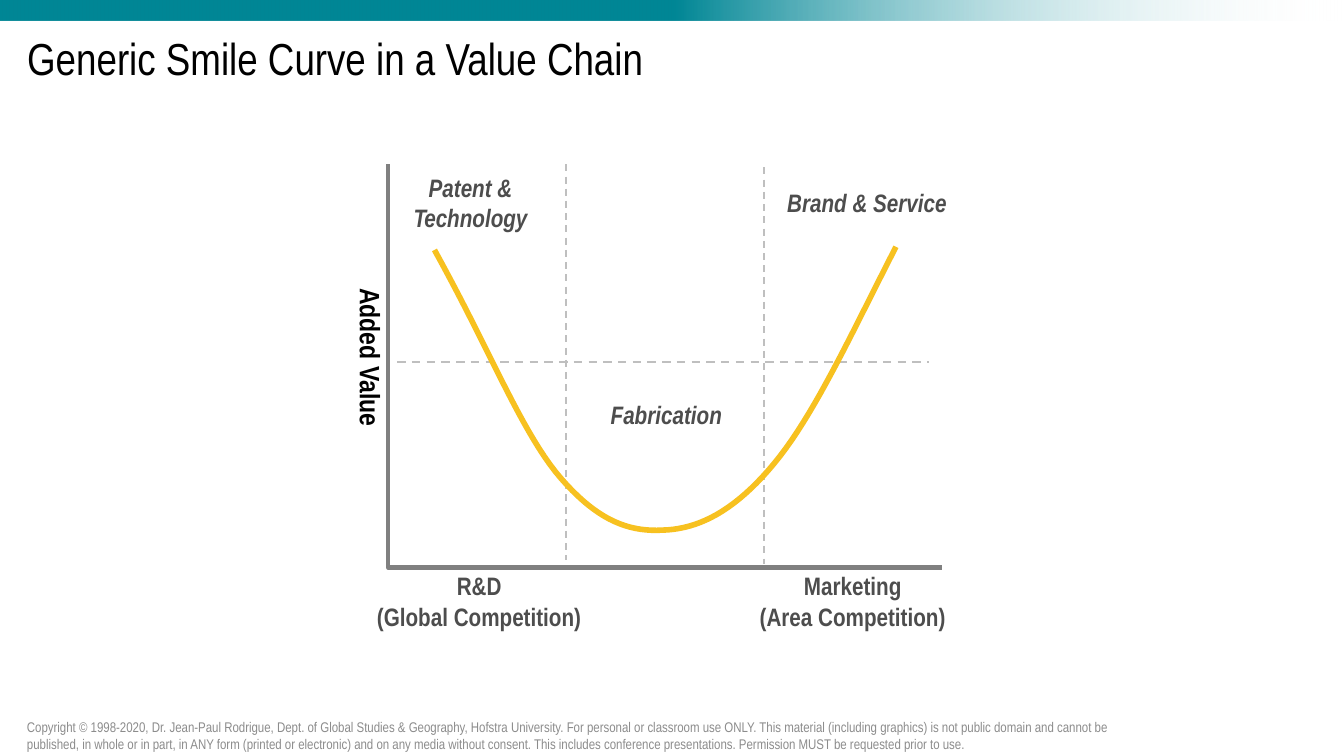
from lxml import etree
from pptx import Presentation
from pptx.dml.color import RGBColor
from pptx.enum.dml import MSO_LINE
from pptx.enum.shapes import MSO_CONNECTOR, MSO_SHAPE
from pptx.enum.text import MSO_ANCHOR, MSO_AUTO_SIZE, PP_ALIGN
from pptx.oxml.ns import qn
from pptx.util import Cm, Pt

DASH = MSO_LINE.DASH
STRAIGHT = MSO_CONNECTOR.STRAIGHT
RECTANGLE = MSO_SHAPE.RECTANGLE
MIDDLE = MSO_ANCHOR.MIDDLE
GROW = MSO_AUTO_SIZE.SHAPE_TO_FIT_TEXT
LEFT, CENTER = PP_ALIGN.LEFT, PP_ALIGN.CENTER

# Content (lengths in centimetres)
FONT = "Arial Narrow"
COLORS = {"band": "008695", "white": "FFFFFF", "black": "000000", "label": "4D4D4D",
          "footer": "8C8C8C", "axis": "808080", "guide": "BFBFBF", "curve": "F7C120"}
SLIDE_SIZE = (33.87, 19.05)
BAND = (0, 0, 33.87, 0.51)
TITLE = ("Generic Smile Curve in a Value Chain", (0.43, 0.51, 33.02, 2.03))
COPYRIGHT = (
    "Copyright © 1998-2020, Dr. Jean-Paul Rodrigue, Dept. of Global Studies & Geography, "
    "Hofstra University. For personal or classroom use ONLY. This material (including graphics) "
    "is not public domain and cannot be published, in whole or in part, in ANY form (printed or "
    "electronic) and on any media without consent. This includes conference presentations. "
    "Permission MUST be requested prior to use.",
    (0.43, 18.03, 27.81, 1.02))
AXES = [(9.78, 4.14), (9.78, 14.3), (23.75, 14.3)]
GUIDES = [  # start, end, width in points
    ((14.27, 4.14), (14.27, 14.1), 1.25),
    ((19.25, 4.22), (19.25, 14.2), 1.25),
    ((10.01, 9.12), (23.42, 9.12), 1.5),
]
SMILE_START = (10.95, 6.3)
SMILE_CURVES = [  # two control points and an end point each
    ((12.34, 8.81), (13.06, 10.69), (14.0, 11.89)),
    ((14.96, 13.06), (15.77, 13.41), (16.69, 13.36)),
    ((17.6, 13.34), (18.52, 12.88), (19.51, 11.68)),
    ((20.5, 10.49), (21.41, 8.51), (22.58, 6.22)),
]
STEPS = 20
AXIS_FORMAT = {"size": Pt(20), "bold": True}
STAGE_FORMAT = {"size": Pt(18), "bold": True}
ASSET_FORMAT = {**STAGE_FORMAT, "italic": True}
LABELS = [  # lines, place, alignment, colour, format, rotation
    (["Added Value"], (7.59, 8.59, 3.51, 0.86), LEFT, "black", AXIS_FORMAT, 90),
    (["Fabrication"], (15.39, 10.06, 2.84, 0.76), LEFT, "label", ASSET_FORMAT, 0),
    (["Patent &", "Technology"], (10.41, 4.34, 2.9, 1.55), CENTER, "label", ASSET_FORMAT, 0),
    (["Brand & Service"], (19.84, 4.72, 4.06, 0.76), LEFT, "label", ASSET_FORMAT, 0),
    (["R&D", "(Global Competition)"], (9.47, 14.38, 5.21, 1.55), CENTER, "label",
     STAGE_FORMAT, 0),
    (["Marketing", "(Area Competition)"], (19.13, 14.38, 4.72, 1.55), CENTER, "label",
     STAGE_FORMAT, 0),
]


def color(name):
    return RGBColor.from_string(COLORS[name])


def to_cm(values):
    return [Cm(value) for value in values]


def write_lines(frame, lines, color_name, text_format, alignment=LEFT):
    for index, line in enumerate(lines):
        para = frame.paragraphs[0] if index == 0 else frame.add_paragraph()
        para.alignment = alignment
        span = para.add_run()
        span.text = line
        span.font.name = FONT
        span.font.color.rgb = color(color_name)
        for key, value in text_format.items():
            setattr(span.font, key, value)


def draw_outline(page, points, color_name, width):
    first, *rest = [to_cm(point) for point in points]
    builder = page.shapes.build_freeform(*first)
    builder.add_line_segments(rest, close=False)
    outline = builder.convert_to_shape()
    outline.shadow.inherit = False
    outline.fill.background()
    outline.line.color.rgb = color(color_name)
    outline.line.width = Pt(width)


def smile_points():
    points = [SMILE_START]
    for control_1, control_2, end in SMILE_CURVES:
        start = points[-1]
        for step in range(1, STEPS + 1):
            t = step / STEPS
            u = 1 - t
            points.append(tuple(
                u**3 * a + 3 * u**2 * t * b + 3 * u * t**2 * c + t**3 * d
                for a, b, c, d in zip(start, control_1, control_2, end)))
    return points


def main():
    deck = Presentation()
    deck.slide_width, deck.slide_height = to_cm(SLIDE_SIZE)
    page = deck.slides.add_slide(deck.slide_layouts[5])

    # Top band fading to transparent white
    band = page.shapes.add_shape(RECTANGLE, *to_cm(BAND))
    band.shadow.inherit = False
    band.line.fill.background()
    band.fill.gradient()
    band.fill.gradient_angle = 0
    stops = band.fill.gradient_stops
    for stop, position, name in zip(stops, (0.5, 1), ("band", "white")):
        stop.position = position
        stop.color.rgb = color(name)
    last_color = list(band.fill._xPr.iter(qn("a:srgbClr")))[-1]
    etree.SubElement(last_color, qn("a:alpha"), val="0")

    # Title
    text, place = TITLE
    title = page.shapes.title
    title.left, title.top, title.width, title.height = to_cm(place)
    title.text_frame.vertical_anchor = MIDDLE
    write_lines(title.text_frame, [text], "black", {"size": Pt(32)})
    title.text_frame.paragraphs[0].line_spacing = 0.9

    # Copyright line
    text, place = COPYRIGHT
    footer = page.shapes.add_textbox(*to_cm(place)).text_frame
    footer.word_wrap = True
    footer.vertical_anchor = MIDDLE
    write_lines(footer, [text], "footer", {"size": Pt(10)})

    # Axes, guides and smile curve
    draw_outline(page, AXES, "axis", 3)
    for start, end, width in GUIDES:
        guide = page.shapes.add_connector(STRAIGHT, *to_cm(start + end))
        guide.line.color.rgb = color("guide")
        guide.line.width = Pt(width)
        guide.line.dash_style = DASH
        etree.SubElement(guide._element.spPr, qn("a:effectLst"))
    draw_outline(page, smile_points(), "curve", 4)

    # Labels
    for lines, place, alignment, color_name, text_format, rotation in LABELS:
        box = page.shapes.add_textbox(*to_cm(place))
        box.rotation = rotation
        frame = box.text_frame
        frame.word_wrap = False
        frame.auto_size = GROW
        for side in ("left", "top", "right", "bottom"):
            setattr(frame, f"margin_{side}", 0)
        write_lines(frame, lines, color_name, text_format, alignment)

    deck.save("out.pptx")


if __name__ == "__main__":
    main()
